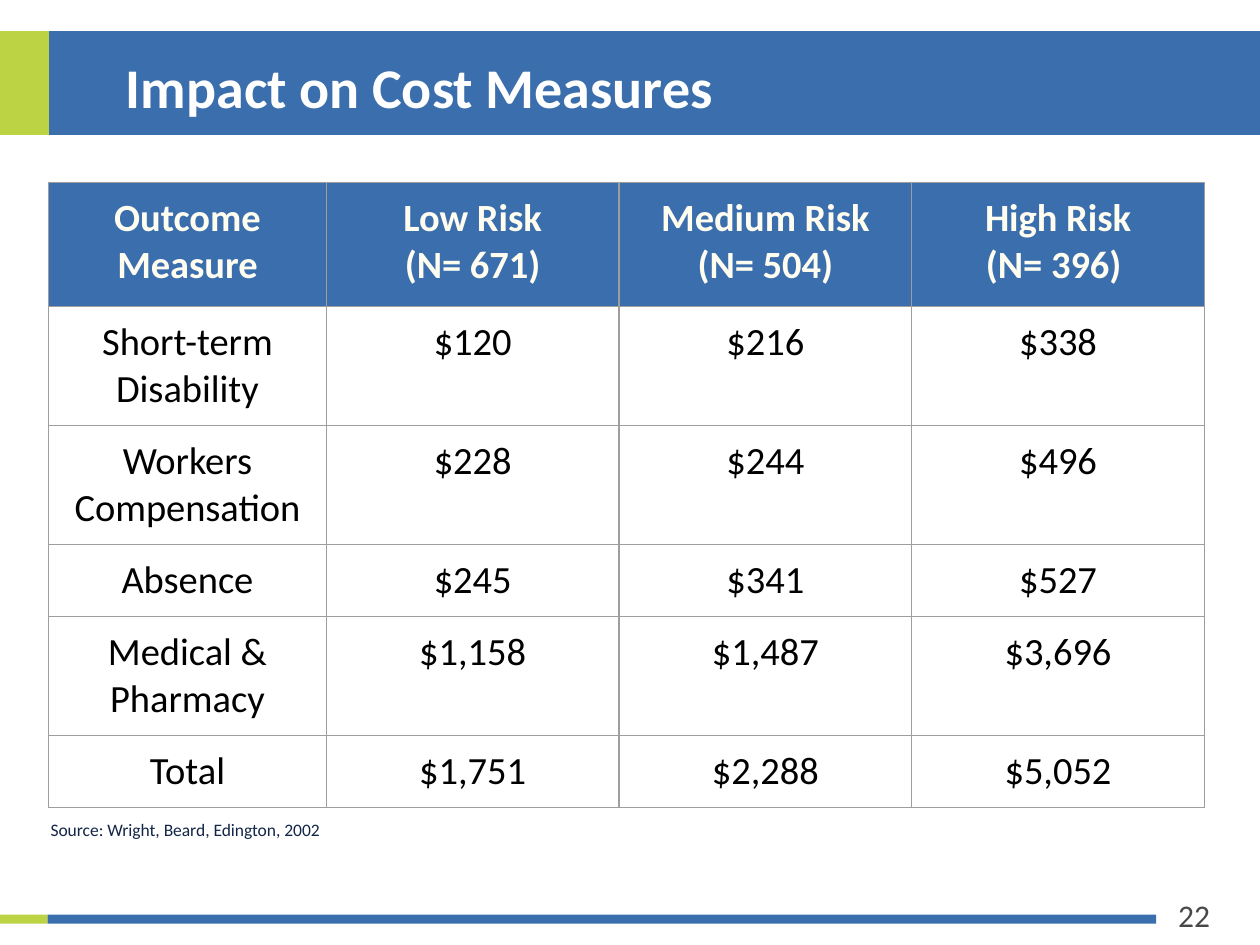
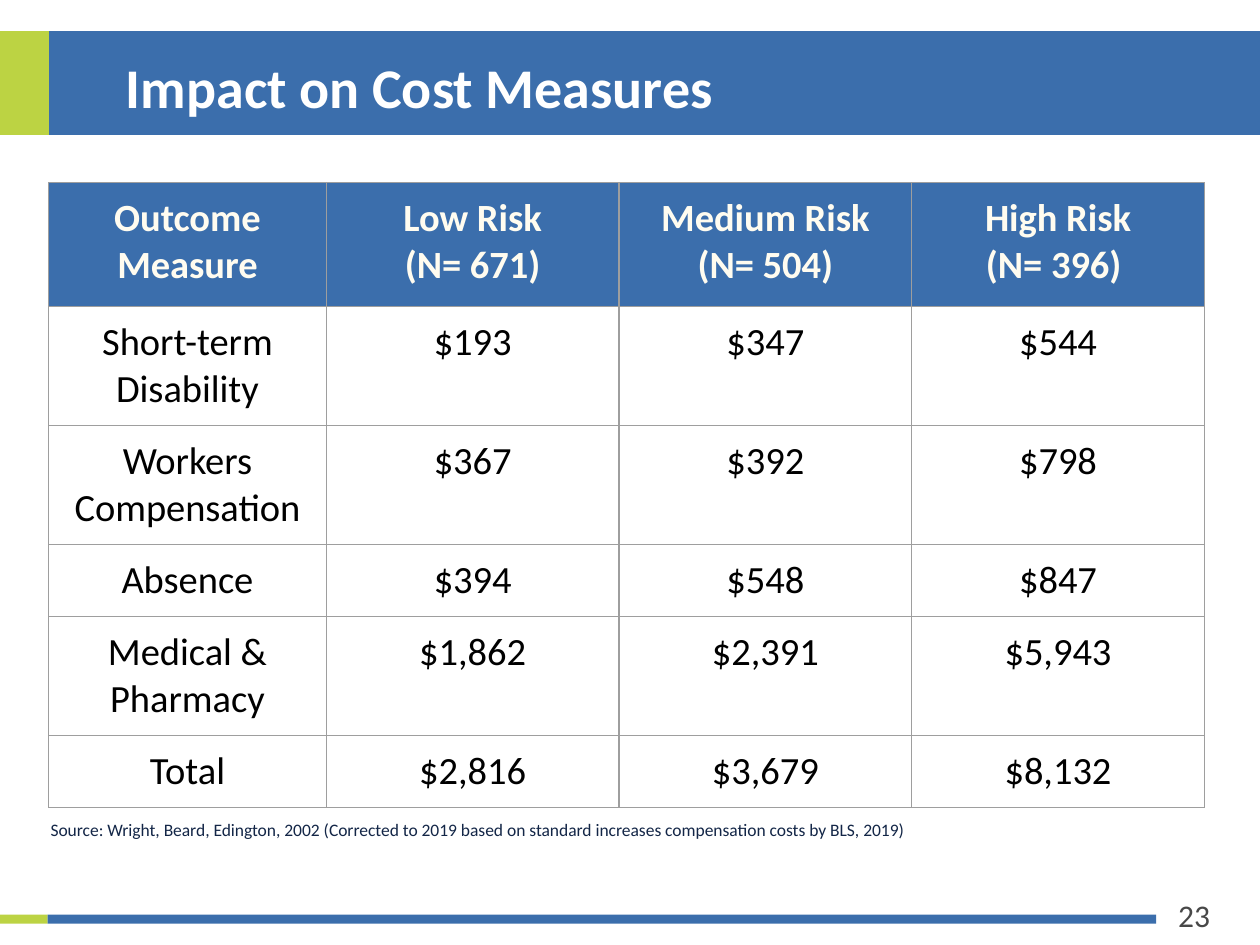
from lxml import etree
from pptx import Presentation
from pptx import util as u
from pptx.dml.color import RGBColor
from pptx.enum import shapes, text
from pptx.oxml.ns import qn

GREEN, BLUE, WHITE, CREAM = "BCD343", "3B6EAC", "FFFFFF", "FFFCF0"
BLACK, GREY, NAVY, BORDER = "000000", "484848", "132647", "9E9E9E"
FONT = "Calibri"

HEADER = ["Outcome Measure", "Low Risk\n(N= 671)", "Medium Risk\n(N= 504)", "High Risk\n(N= 396) "]
MEASURES = ["Short-term Disability", "Workers Compensation", "Absence", "Medical & Pharmacy", "Total"]
COL_WIDTHS = [5.6, 5.9, 5.9, 5.9]
ROW_HEIGHTS = [2.5, 2.4, 2.4, 1.45, 2.4, 1.45]

SLIDES = [
    (22, "Impact on Cost Measures",
     [["$120", "$216", "$338"],
      ["$228", "$244", "$496"],
      ["$245", "$341", "$527"],
      ["$1,158", "$1,487", "$3,696"],
      ["$1,751", "$2,288", "$5,052"]],
     "Source: Wright, Beard, Edington, 2002"),
    (23, "Impact on Cost Measures",
     [["$193", "$347", "$544"],
      ["$367", "$392", "$798"],
      ["$394", "$548", "$847"],
      ["$1,862", "$2,391", "$5,943"],
      ["$2,816", "$3,679", "$8,132"]],
     "Source: Wright, Beard, Edington, 2002 (Corrected to 2019 based on standard "
     "increases compensation costs by BLS, 2019)"),
]


def rgb(value):
    return RGBColor.from_string(value)


def write(tf, content, size, color, bold=False, align=text.PP_ALIGN.LEFT):
    for i, line in enumerate(content.split("\n")):
        p = tf.paragraphs[0] if i == 0 else tf.add_paragraph()
        p.alignment = align
        r = p.add_run()
        r.text = line
        r.font.name = FONT
        r.font.size = u.Pt(size)
        r.font.bold = bold
        r.font.color.rgb = rgb(color)


def set_borders(cell, color, width):
    tc_pr = cell._tc.get_or_add_tcPr()
    for i, side in enumerate(("a:lnL", "a:lnR", "a:lnT", "a:lnB")):
        ln = etree.Element(qn(side), w=str(u.Pt(width)))
        fill = etree.SubElement(ln, qn("a:solidFill"))
        etree.SubElement(fill, qn("a:srgbClr"), val=color)
        tc_pr.insert(i, ln)


class Deck:
    def __init__(self):
        self.prs = Presentation()
        self.prs.slide_width = u.Cm(25.4)
        self.prs.slide_height = u.Cm(19.05)
        self.s = None

    def new_slide(self, number, title):
        self.s = self.prs.slides.add_slide(self.prs.slide_layouts[6])
        self.band(0, 0.63, 0.99, 2.09, GREEN)
        self.band(0.99, 0.63, 24.41, 2.09, BLUE)
        self.band(0, 18.44, 0.96, 0.18, GREEN)
        self.band(0.96, 18.44, 22.35, 0.18, BLUE)
        self.label(23.5, 17.93, 1.5, 1.02, str(number), (0.25, 0.13), size=18, color=GREY)
        self.label(2.54, 1.02, 19.6, 1.93, title, (0, 0.03), size=32, color=WHITE, bold=True)

    def band(self, x, y, w, h, color):
        sp = self.s.shapes.add_shape(shapes.MSO_SHAPE.RECTANGLE, u.Cm(x), u.Cm(y), u.Cm(w), u.Cm(h))
        sp.shadow.inherit = False
        sp.fill.solid()
        sp.fill.fore_color.rgb = rgb(color)
        sp.line.fill.background()

    def label(self, x, y, w, h, content, inset, **fmt):
        tf = self.s.shapes.add_textbox(u.Cm(x), u.Cm(y), u.Cm(w), u.Cm(h)).text_frame
        tf.word_wrap = True
        tf.margin_left = tf.margin_right = u.Cm(inset[0])
        tf.margin_top = tf.margin_bottom = u.Cm(inset[1])
        write(tf, content, **fmt)

    def table(self, x, y, rows):
        tbl = self.s.shapes.add_table(
            len(rows), len(COL_WIDTHS), u.Cm(x), u.Cm(y),
            u.Cm(sum(COL_WIDTHS)), u.Cm(sum(ROW_HEIGHTS))).table
        tbl.horz_banding = False
        for col, width in zip(tbl.columns, COL_WIDTHS):
            col.width = u.Cm(width)
        for i, (row, height) in enumerate(zip(tbl.rows, ROW_HEIGHTS)):
            row.height = u.Cm(height)
            for cell, content in zip(row.cells, rows[i]):
                self.cell(cell, content, header=i == 0)

    def cell(self, cell, content, header):
        cell.margin_left = cell.margin_right = cell.margin_top = cell.margin_bottom = u.Cm(0.25)
        if header:
            cell.fill.solid()
            cell.fill.fore_color.rgb = rgb(BLUE)
        else:
            cell.fill.background()
        set_borders(cell, BORDER, 0.75)
        write(cell.text_frame, content, size=22, color=CREAM if header else BLACK,
              bold=header, align=text.PP_ALIGN.CENTER)


def main():
    deck = Deck()
    for number, title, costs, source in SLIDES:
        deck.new_slide(number, title)
        deck.label(0.99, 16.48, 21.16, 0.5, source, (0.03, 0.03), size=10, color=NAVY)
        deck.table(0.98, 3.68, [HEADER] + [[m] + c for m, c in zip(MEASURES, costs)])
    deck.prs.save("out.pptx")


if __name__ == "__main__":
    main()
